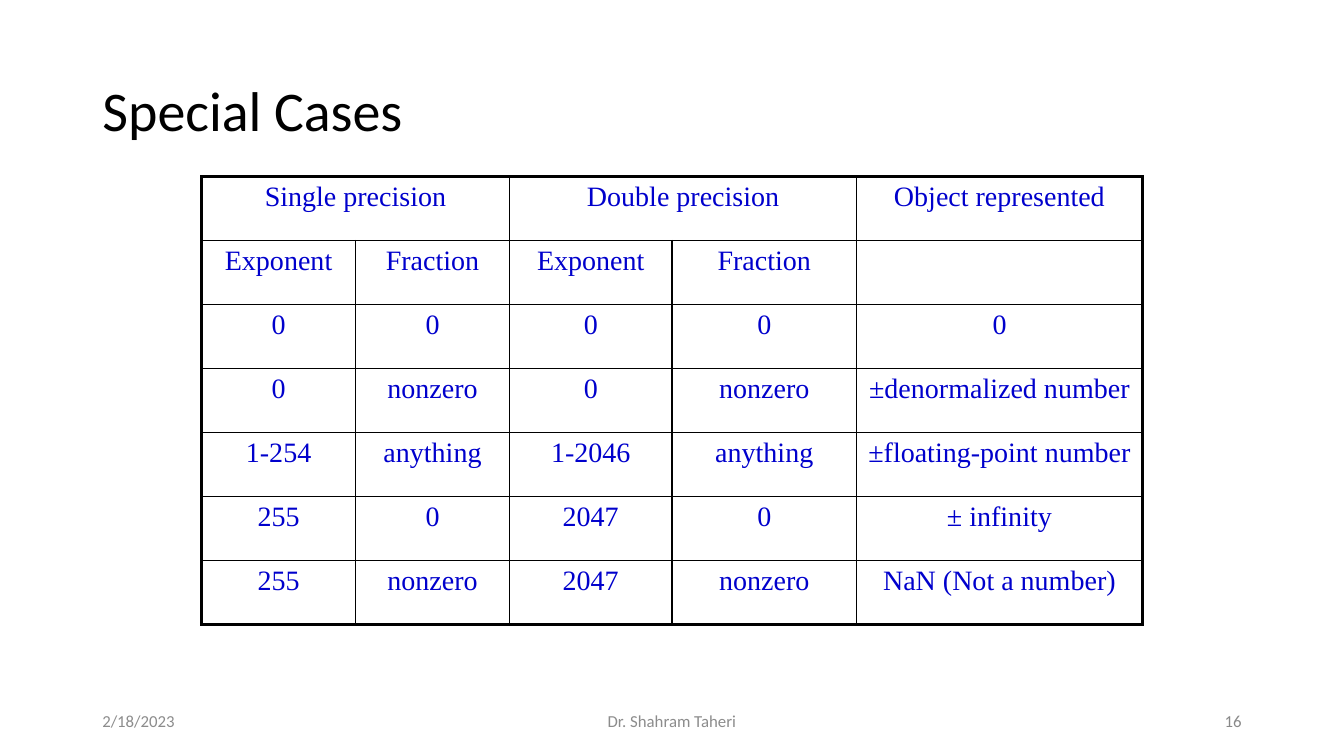
from dataclasses import dataclass

from lxml import etree
from pptx import Presentation
from pptx.dml.color import RGBColor
from pptx.enum.text import MSO_ANCHOR, MSO_AUTO_SIZE, PP_ALIGN
from pptx.oxml.ns import qn
from pptx.util import Pt

LEFT, CENTER, RIGHT = PP_ALIGN.LEFT, PP_ALIGN.CENTER, PP_ALIGN.RIGHT
TOP, MIDDLE = MSO_ANCHOR.TOP, MSO_ANCHOR.MIDDLE
NO_AUTOFIT = MSO_AUTO_SIZE.NONE

BLACK = RGBColor(0x00, 0x00, 0x00)
TABLE_BLUE = RGBColor(0x00, 0x00, 0xCC)
FOOTER_GRAY = RGBColor(0x8C, 0x8C, 0x8C)
NUMBER_GRAY = RGBColor(0x89, 0x89, 0x89)

THIN, THICK = Pt(1), Pt(2.25)
COLUMN_WIDTHS = (110, 110, 116, 132, 204)
ROW_HEIGHT = 45.7
CASES = (
    ("Single precision", "", "Double precision", "", "Object represented"),
    ("Exponent", "Fraction", "Exponent", "Fraction", ""),
    ("0", "0", "0", "0", "0"),
    ("0", "nonzero", "0", "nonzero", "±denormalized number"),
    ("1-254", "anything", "1-2046", "anything", "±floating-point number"),
    ("255", "0", "2047", "0", "± infinity"),
    ("255", "nonzero", "2047", "nonzero", "NaN (Not a number)"),
)


@dataclass(frozen=True)
class FooterItem:
    text: str
    left: float
    width: float
    align: PP_ALIGN
    color: RGBColor


FOOTER = (
    FooterItem("2/18/2023", 66, 216, LEFT, FOOTER_GRAY),
    FooterItem("Dr. Shahram Taheri", 318, 324, CENTER, FOOTER_GRAY),
    FooterItem("16", 678, 216, RIGHT, NUMBER_GRAY),
)


def write(frame, text: str, font: str, size: float, color: RGBColor,
          align: PP_ALIGN) -> None:
    para = frame.paragraphs[0]
    para.alignment = align
    span = para.add_run()
    span.text = text
    span.font.name = font
    span.font.size = Pt(size)
    span.font.color.rgb = color


def add_title(page) -> None:
    title = page.shapes.title
    title.left, title.top = Pt(66), Pt(28.8)
    title.width, title.height = Pt(828), Pt(104.4)
    frame = title.text_frame
    frame.word_wrap = True
    frame.auto_size = NO_AUTOFIT
    frame.vertical_anchor = MIDDLE
    write(frame, "Special Cases", "Calibri", 40, BLACK, LEFT)
    frame.paragraphs[0].line_spacing = 0.9


def set_borders(cell, widths: dict[str, int]) -> None:
    properties = cell._tc.get_or_add_tcPr()
    for index, (side, width) in enumerate(widths.items()):
        line = etree.Element(qn(f"a:ln{side}"), w=str(width))
        fill = etree.SubElement(line, qn("a:solidFill"))
        etree.SubElement(fill, qn("a:srgbClr"), val=str(BLACK))
        properties.insert(index, line)


def add_cases_table(page) -> None:
    last_row, last_column = len(CASES) - 1, len(COLUMN_WIDTHS) - 1
    table = page.shapes.add_table(
        len(CASES), len(COLUMN_WIDTHS), Pt(144), Pt(126),
        Pt(sum(COLUMN_WIDTHS)), Pt(ROW_HEIGHT * len(CASES))).table
    table.first_row = table.horz_banding = False
    for column, width in zip(table.columns, COLUMN_WIDTHS):
        column.width = Pt(width)
    for row in table.rows:
        row.height = Pt(ROW_HEIGHT)
    for first in (0, 2):
        table.cell(0, first).merge(table.cell(0, first + 1))
    for r, texts in enumerate(CASES):
        for c, text in enumerate(texts):
            cell = table.cell(r, c)
            cell.fill.background()
            if cell.is_spanned:
                continue
            cell.vertical_anchor = TOP
            if text:
                write(cell.text_frame, text, "Times New Roman", 20,
                      TABLE_BLUE, CENTER)
            set_borders(cell, {
                "L": THICK if c == 0 else THIN,
                "R": THICK if c == last_column else THIN,
                "T": THICK if r == 0 else THIN,
                "B": THICK if r == last_row else THIN,
            })


def add_footer_item(page, item: FooterItem) -> None:
    box = page.shapes.add_textbox(Pt(item.left), Pt(500.4),
                                  Pt(item.width), Pt(28.8))
    frame = box.text_frame
    frame.word_wrap = True
    frame.vertical_anchor = MIDDLE
    write(frame, item.text, "Calibri", 12, item.color, item.align)


def main() -> None:
    deck = Presentation()
    deck.slide_width, deck.slide_height = Pt(960), Pt(540)
    page = deck.slides.add_slide(deck.slide_layouts.get_by_name("Title Only"))
    add_title(page)
    add_cases_table(page)
    for item in FOOTER:
        add_footer_item(page, item)
    deck.save("out.pptx")


if __name__ == "__main__":
    main()
